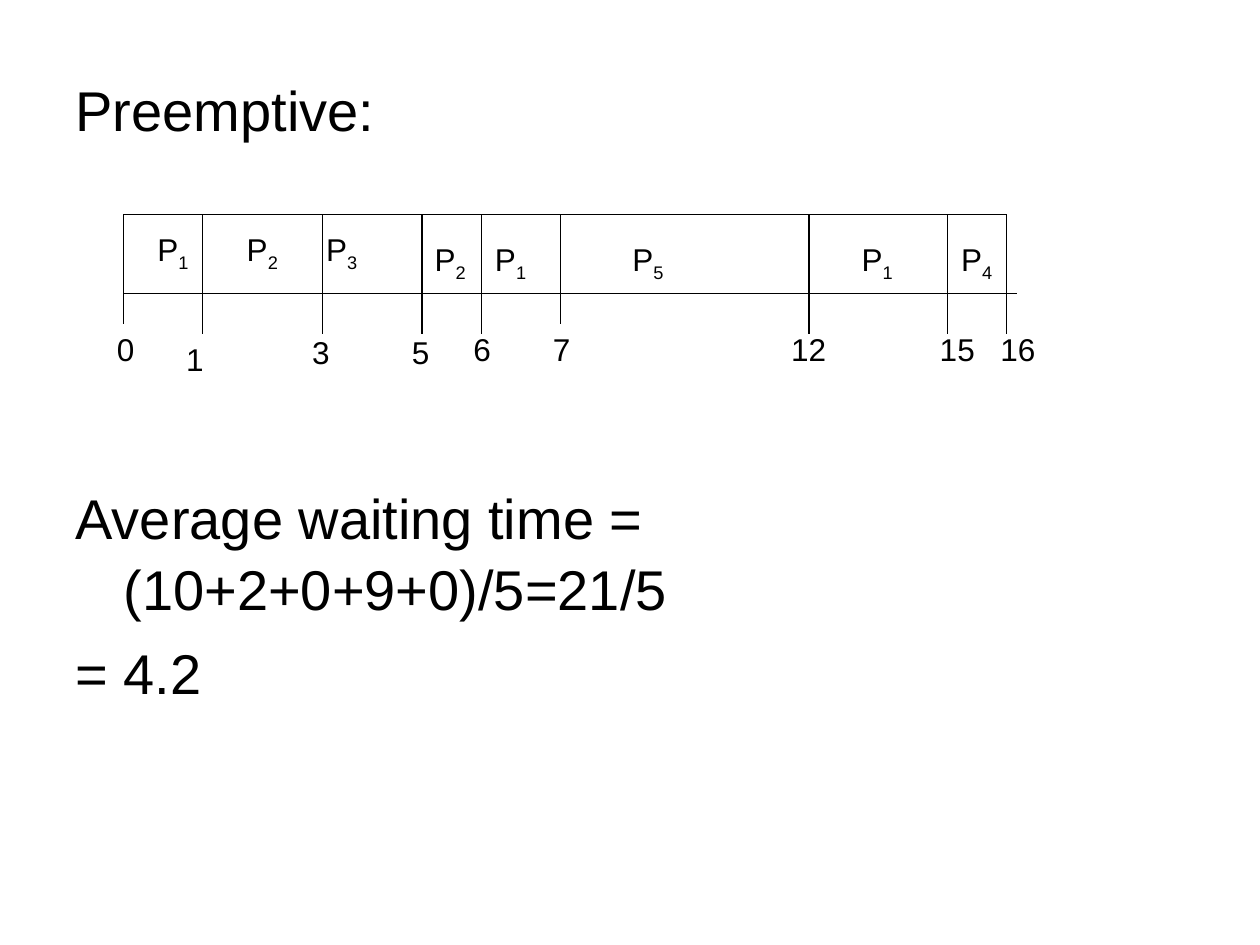
from dataclasses import dataclass

from lxml import etree
from pptx import Presentation
from pptx.dml.color import RGBColor
from pptx.enum.shapes import MSO_CONNECTOR
from pptx.enum.text import MSO_AUTO_SIZE
from pptx.oxml.ns import qn
from pptx.util import Inches, Pt

STRAIGHT = MSO_CONNECTOR.STRAIGHT
FIT_SHAPE = MSO_AUTO_SIZE.SHAPE_TO_FIT_TEXT
NO_FIT = MSO_AUTO_SIZE.NONE


@dataclass(frozen=True)
class Theme:
    font: str = "Arial"
    ink: RGBColor = RGBColor(0, 0, 0)
    body_size: int = 32
    label_size: int = 18
    line_width: float = 0.75
    line_spacing: float = 1.05
    indent: float = 0.38


THEME = Theme()

BODY = [
    ("Preemptive:", 8),
    ("Average waiting time = (10+2+0+9+0)/5=21/5", 193),
    ("= 4.2", 8),
]

CHART_LEFT, CHART_RIGHT, AXIS_RIGHT = 0.98, 7.99, 8.07
CHART_TOP, AXIS_TOP = 1.7, 2.33
SHORT, LONG = 2.57, 2.65

# time, tick position, tick bottom, label left, label top
TICKS = [
    ("0", CHART_LEFT, SHORT, 0.83, 2.57),
    ("1", 1.61, LONG, 1.38, 2.65),
    ("3", 2.56, LONG, 2.38, 2.59),
    ("5", 3.35, LONG, 3.17, 2.59),
    ("6", 3.82, LONG, 3.66, 2.57),
    ("7", 4.45, SHORT, 4.29, 2.57),
    ("12", 6.42, LONG, 6.18, 2.57),
    ("15", 7.52, LONG, 7.36, 2.57),
    ("16", CHART_RIGHT, LONG, 7.84, 2.57),
]

# process number, label left, label top
PROCESSES = [
    ("1", 1.15, 1.78),
    ("2", 1.86, 1.78),
    ("3", 2.49, 1.78),
    ("2", 3.35, 1.86),
    ("1", 3.83, 1.86),
    ("5", 4.92, 1.86),
    ("1", 6.74, 1.86),
    ("4", 7.53, 1.86),
]


def add_run(paragraph, text, size, subscript=False):
    run = paragraph.add_run()
    run.text = text
    run.font.name = THEME.font
    run.font.size = Pt(size)
    run.font.color.rgb = THEME.ink
    if subscript:
        run.font._element.set("baseline", "-25000")


def add_line(slide, left, top, right, bottom):
    line = slide.shapes.add_connector(
        STRAIGHT, Inches(left), Inches(top), Inches(right), Inches(bottom)
    )
    line.line.color.rgb = THEME.ink
    line.line.width = Pt(THEME.line_width)
    etree.SubElement(line._element.spPr, qn("a:effectLst"))


def add_label(slide, left, top, width, height, text, subscript=None):
    box = slide.shapes.add_textbox(
        Inches(left), Inches(top), Inches(width), Inches(height)
    )
    frame = box.text_frame
    frame.word_wrap = False
    frame.auto_size = FIT_SHAPE
    paragraph = frame.paragraphs[0]
    add_run(paragraph, text, THEME.label_size)
    if subscript:
        add_run(paragraph, subscript, THEME.label_size, subscript=True)


def fill_body(body):
    body.left, body.top = Inches(0.5), Inches(0.52)
    body.width, body.height = Inches(9), Inches(6.18)
    frame = body.text_frame
    frame.auto_size = NO_FIT
    for index, (text, space_before) in enumerate(BODY):
        paragraph = frame.add_paragraph() if index else frame.paragraphs[0]
        paragraph.space_before = Pt(space_before)
        paragraph.line_spacing = THEME.line_spacing
        properties = paragraph._p.get_or_add_pPr()
        properties.set("marL", str(Inches(THEME.indent)))
        properties.set("indent", str(-Inches(THEME.indent)))
        etree.SubElement(properties, qn("a:buNone"))
        add_run(paragraph, text, THEME.body_size)


def main():
    presentation = Presentation()
    presentation.slide_width, presentation.slide_height = Inches(10), Inches(7.5)
    slide = presentation.slides.add_slide(presentation.slide_layouts[1])
    title = slide.shapes.title._element
    title.getparent().remove(title)
    fill_body(slide.placeholders[1])

    add_line(slide, CHART_LEFT, CHART_TOP, CHART_RIGHT, CHART_TOP)
    add_line(slide, CHART_LEFT, AXIS_TOP, AXIS_RIGHT, AXIS_TOP)
    for time, position, bottom, left, top in TICKS:
        add_line(slide, position, CHART_TOP, position, bottom)
        add_label(slide, left, top, 0.2 + 0.14 * len(time), 0.4, time)
    for number, left, top in PROCESSES:
        add_label(slide, left, top, 0.45, 0.44, "P", number)

    presentation.save("out.pptx")


if __name__ == "__main__":
    main()
